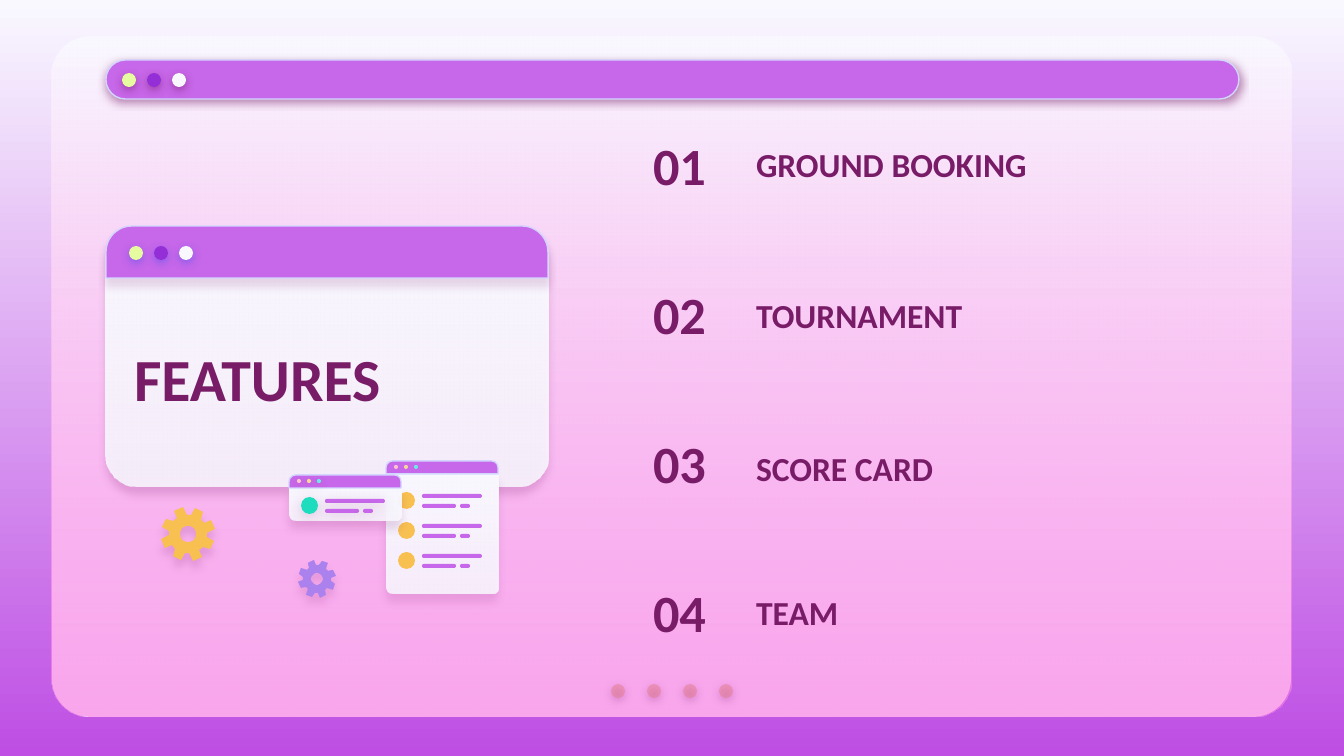
from math import cos, radians, sin

from lxml import etree
from pptx import Presentation
from pptx.dml.color import RGBColor
from pptx.enum.shapes import MSO_SHAPE
from pptx.enum.text import MSO_ANCHOR, MSO_AUTO_SIZE, PP_ALIGN
from pptx.oxml.ns import qn
from pptx.util import Emu, Pt

PX = 914400 / 134.4
ROUND = MSO_SHAPE.ROUNDED_RECTANGLE
ROUND_PAIR = MSO_SHAPE.ROUND_2_SAME_RECTANGLE
OVAL = MSO_SHAPE.OVAL
LEFT, RIGHT = PP_ALIGN.LEFT, PP_ALIGN.RIGHT
TITLE_ONLY = 5

PLUM = RGBColor(0x78, 0x1C, 0x68)
ORCHID = RGBColor(0xC7, 0x67, 0xE9)
DEEP_ORCHID = RGBColor(0xBE, 0x4E, 0xE4)
VIOLET = RGBColor(0x94, 0x2F, 0xD8)
INDIGO = RGBColor(0x53, 0x52, 0xEE)
LAVENDER = RGBColor(0xAB, 0x81, 0xEE)
PALE_BLUE = RGBColor(0xD2, 0xD6, 0xFF)
GHOST = RGBColor(0xF9, 0xF8, 0xFF)
PINK = RGBColor(0xFA, 0x77, 0xE3)
ROSE = RGBColor(0xE2, 0x7B, 0x83)
LIME = RGBColor(0xE6, 0xFB, 0xA0)
AMBER = RGBColor(0xF8, 0xBF, 0x51)
TEAL = RGBColor(0x1E, 0xDD, 0xBE)
BLUSH = RGBColor(0xFF, 0xC3, 0xD0)
SAND = RGBColor(0xF5, 0xD7, 0x9B)
AQUA = RGBColor(0x6A, 0xEB, 0xE7)

# Shadows: colour, opacity in percent, blur and distance in points
DOT_SHADOW = (PLUM, 50, 4.5, 1.5)
BUTTON_SHADOW = (INDIGO, 50, 4.5, 1.5)
MINI_DOT_SHADOW = (PLUM, 17, 4.5, 2.2)
MINI_ROW_SHADOW = (PLUM, 18, 6.8, 1.5)

BUTTONS = (LIME, VIOLET, GHOST)
MINI_BUTTONS = (BLUSH, SAND, AQUA)
FEATURES = (("GROUND BOOKING", 137), ("TOURNAMENT", 288),
            ("SCORE CARD", 441), ("TEAM", 585))


def px(*lengths):
    return [Emu(round(length * PX)) for length in lengths]


def set_alpha(colour_node, percent):
    etree.SubElement(colour_node, qn("a:alpha"), val=str(percent * 1000))


def fade(fill, top, bottom):
    """Gradient running straight down the shape."""
    fill.gradient()
    fill.gradient_angle = 270
    for stop, colour in zip(fill.gradient_stops, (top, bottom)):
        stop.color.rgb = colour
    fill.gradient_stops[0].position = 0
    fill.gradient_stops[1].position = 1


def paint(shape, fill, alpha=100, fade_to=None, line=None, shadow=None):
    """Fill, outline and shadow; alpha applies to the last fill colour."""
    if fade_to is None:
        shape.fill.solid()
        shape.fill.fore_color.rgb = fill
    else:
        fade(shape.fill, fill, fade_to)
    properties = shape._element.spPr
    if alpha < 100:
        set_alpha(list(properties.iter(qn("a:srgbClr")))[-1], alpha)
    if line is None:
        shape.line.fill.background()
    else:
        shape.line.color.rgb = line
        shape.line.width = Pt(0.75)
    shape.shadow.inherit = False
    if shadow:
        colour, opacity, blur, distance = shadow
        outer = etree.SubElement(
            properties.find(qn("a:effectLst")), qn("a:outerShdw"),
            blurRad=str(Pt(blur)), dist=str(Pt(distance)),
            dir="5400000", algn="bl", rotWithShape="0")
        set_alpha(etree.SubElement(outer, qn("a:srgbClr"), val=str(colour)),
                  opacity)


def add_block(slide, kind, box, fill, corners=(), **style):
    block = slide.shapes.add_shape(kind, *px(*box))
    for index, corner in enumerate(corners):
        block.adjustments[index] = corner
    paint(block, fill, **style)


def add_dots(slide, left, top, size, pitch, colours, **style):
    for index, colour in enumerate(colours):
        add_block(slide, OVAL, (left + index * pitch, top, size, size),
                  colour, **style)


def add_text(slide, text, box, size, align=LEFT, holder=None):
    holder = holder or slide.shapes.add_textbox(0, 0, 0, 0)
    holder.left, holder.top, holder.width, holder.height = px(*box)
    frame = holder.text_frame
    frame.word_wrap = True
    frame.auto_size = MSO_AUTO_SIZE.NONE
    frame.vertical_anchor = MSO_ANCHOR.MIDDLE
    frame.margin_left, frame.margin_right = px(13, 13)
    frame.margin_top, frame.margin_bottom = px(13, 13)
    paragraph = frame.paragraphs[0]
    paragraph.alignment = align
    run = paragraph.add_run()
    run.text = text
    run.font.name = "Calibri"
    run.font.size = Pt(size)
    run.font.bold = True
    run.font.color.rgb = PLUM


def add_mini_window(slide, left, top, body_height, first_row, icons,
                    body_opacity, dot_shadow=None, row_shadow=None):
    width, header = 112, 13
    add_block(slide, ROUND_PAIR, (left, top + header, width, body_height),
              GHOST, (0, 7 / min(width, body_height)), fade_to=GHOST,
              alpha=87, shadow=(PLUM, body_opacity, 4.5, 4.5))
    add_block(slide, ROUND_PAIR, (left, top, width, header), ORCHID,
              (0.5, 0), line=PALE_BLUE)
    add_dots(slide, left + 8, top + 4, 4, 10, MINI_BUTTONS, shadow=dot_shadow)
    for index, icon in enumerate(icons):
        row = top + first_row + 30 * index
        add_dots(slide, left + 12, row, 17, 0, [icon], shadow=row_shadow)
        for x, y, length in ((36, 2, 60), (36, 12, 34), (74, 12, 10)):
            add_block(slide, ROUND, (left + x, row + y, length, 4), ORCHID,
                      (0.5,), shadow=row_shadow)


def add_gear(slide, x, y, radius, fill, shadow, teeth=8):
    def polar(angle, distance):
        return (x + distance * cos(radians(angle)),
                y + distance * sin(radians(angle)))

    profile = ((-16, 0.72), (-10, 1), (10, 1), (16, 0.72))
    rim = [polar(-110 + tooth * 360 / teeth + turn, radius * reach)
           for tooth in range(teeth) for turn, reach in profile]
    hole = [polar(-angle, radius * 0.3) for angle in range(0, 360, 15)]
    builder = slide.shapes.build_freeform(*rim[0], scale=PX)
    builder.add_line_segments(rim[1:], close=True)
    builder.move_to(*hole[0])
    builder.add_line_segments(hole[1:], close=True)
    paint(builder.convert_to_shape(), fill, shadow=shadow)


def main():
    deck = Presentation()
    deck.slide_width, deck.slide_height = px(1344, 756)
    slide = deck.slides.add_slide(deck.slide_layouts[TITLE_ONLY])
    fade(slide.background.fill, GHOST, DEEP_ORCHID)

    # Backdrop panel, page dots and address bar
    panel = (52, 37, 1239, 680)
    add_block(slide, ROUND, panel, GHOST, (0.056,))
    add_block(slide, ROUND, panel, GHOST, (0.056,), fade_to=PINK, alpha=63)
    add_dots(slide, 611, 684, 14, 36, [ROSE] * 4, alpha=44, shadow=DOT_SHADOW)
    add_block(slide, ROUND, (106, 60, 1133, 39), ORCHID, (0.5,),
              line=PALE_BLUE, shadow=DOT_SHADOW)
    add_dots(slide, 122, 73, 14, 25, BUTTONS, shadow=DOT_SHADOW)

    # Title window
    add_block(slide, ROUND, (106, 226, 442, 261), GHOST, (0.124,),
              fade_to=GHOST, alpha=87, shadow=(PLUM, 22, 4.5, 3.8))
    add_block(slide, ROUND_PAIR, (106, 226, 442, 52), ORCHID, (0.5, 0),
              line=PALE_BLUE, shadow=(PLUM, 15, 4.5, 3.8))
    add_dots(slide, 129, 246, 14, 25, BUTTONS, shadow=BUTTON_SHADOW)
    title = slide.shapes.title
    slide.shapes._spTree.append(title._element)  # bring in front of window
    add_text(slide, "FEATURES", (121, 300, 417, 156), 32, holder=title)

    # Numbered features
    for index, (feature, top) in enumerate(FEATURES):
        add_text(slide, f"{index + 1:02}", (574, 101 + 149 * index, 145, 127),
                 28, align=RIGHT)
        add_text(slide, feature, (743, top, 513, 54), 18)

    # Mini windows and gears
    add_mini_window(slide, 386, 461, 120, 31, [AMBER] * 3, 15)
    add_mini_window(slide, 289, 475, 33, 22, [TEAL], 16,
                    dot_shadow=MINI_DOT_SHADOW, row_shadow=MINI_ROW_SHADOW)
    add_gear(slide, 188, 534, 27, AMBER, (PLUM, 16, 4.5, 4.5))
    add_gear(slide, 317, 579, 19, LAVENDER, (PLUM, 15, 4.5, 3.8))

    deck.save("out.pptx")


if __name__ == "__main__":
    main()
